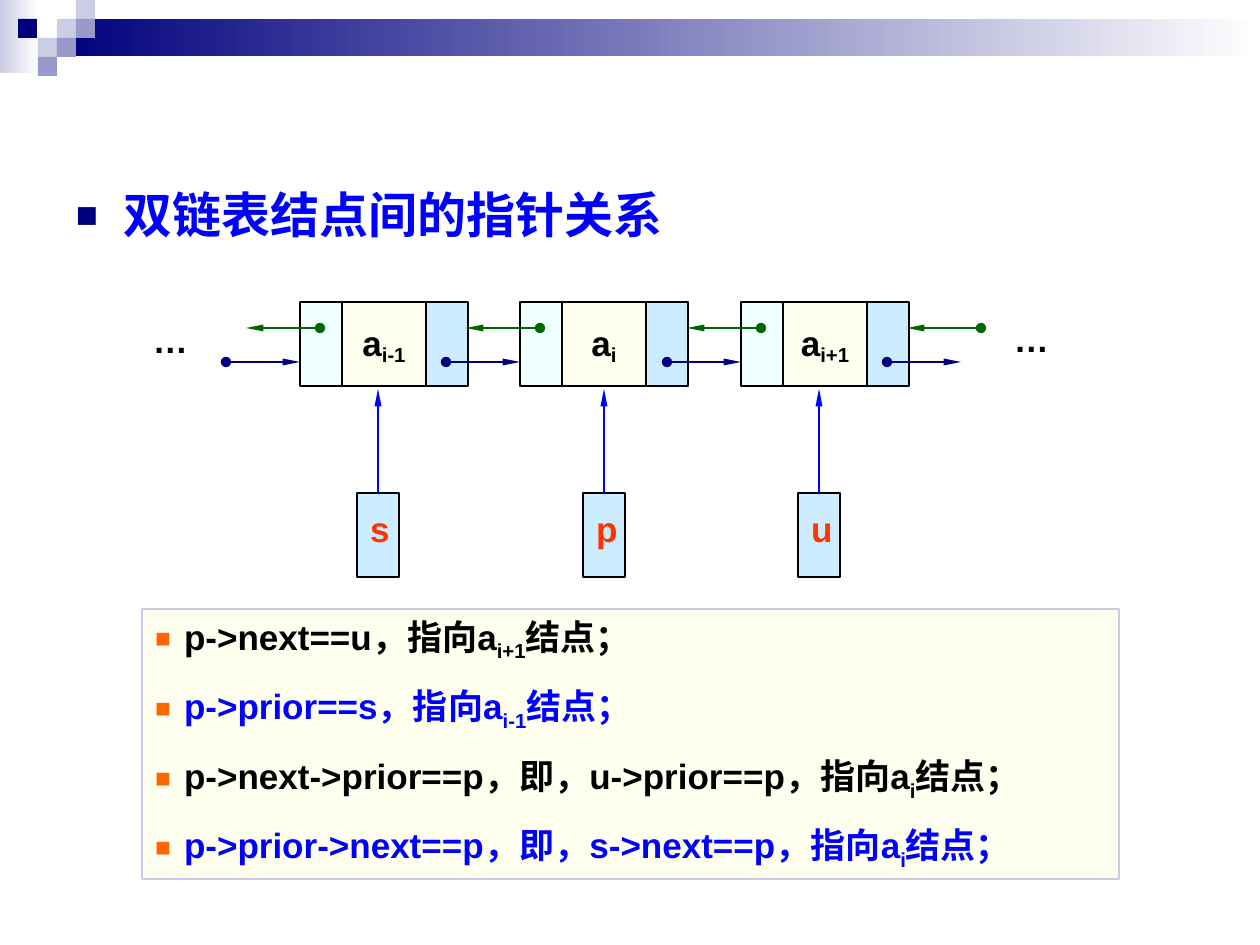
from lxml.etree import SubElement
from pptx import Presentation
from pptx.dml.color import RGBColor
from pptx.enum.shapes import MSO_CONNECTOR, MSO_SHAPE
from pptx.enum.text import MSO_ANCHOR, PP_ALIGN
from pptx.oxml.ns import qn
from pptx.util import Pt

SCALE = 914400 / 126
HEX = RGBColor.from_string
NAVY, PALE, LILAC, CREAM, SKY = "00007D", "CCCCE6", "9999CC", "FFFFF0", "CCECFF"
BLUE, BLACK, RED, GREEN = "0000FF", "000000", "FF3300", "006600"

deck = Presentation()
deck.slide_width, deck.slide_height = [round(n * SCALE) for n in (1260, 945)]
slide = deck.slides.add_slide(deck.slide_layouts[6])
shapes = slide.shapes


def add_box(place, fill=None, edge=None, lines=(), size=20, align=PP_ALIGN.CENTER,
            mark=None, hang=0, drop=-16, top=6, anchor=MSO_ANCHOR.MIDDLE, wrap=True):
    spot = [round(n * SCALE) for n in place]
    if fill or edge:
        box = shapes.add_shape(MSO_SHAPE.RECTANGLE, *spot)
        box.shadow.inherit = False
        if isinstance(fill, tuple):
            box.fill.gradient()
            box.fill.gradient_angle = 0
            for stop, tone in zip(box.fill.gradient_stops, fill):
                stop.color.rgb = HEX(tone)
        else:
            box.fill.solid()
            box.fill.fore_color.rgb = HEX(fill)
        if edge:
            box.line.color.rgb = HEX(edge)
            box.line.width = Pt(0.75)
        else:
            box.line.fill.background()
    else:
        box = shapes.add_textbox(*spot)
    frame = box.text_frame
    style = {"word_wrap": wrap, "vertical_anchor": anchor, "margin_top": round(top * SCALE),
             "margin_left": round(13 * SCALE), "margin_right": round(13 * SCALE),
             "margin_bottom": round(6 * SCALE)}
    for key, value in style.items():
        setattr(frame, key, value)
    for row, (tone, *parts) in enumerate(lines):
        para = frame.add_paragraph() if row else frame.paragraphs[0]
        para.alignment = align
        para.space_before = Pt(12.5 if row else 0)
        if mark:
            props = para._p.get_or_add_pPr()
            props.set("marL", str(round(hang * SCALE)))
            props.set("indent", str(round(-hang * SCALE)))
            SubElement(SubElement(props, qn("a:buClr")), qn("a:srgbClr"), val=mark)
            SubElement(props, qn("a:buSzPct"), val="75000")
            SubElement(props, qn("a:buFont"), typeface="Arial")
            SubElement(props, qn("a:buChar"), char="■")
        for part, text in enumerate(parts):
            run = para.add_run()
            run.text = text
            for key, value in {"size": Pt(size), "bold": True, "name": "Arial"}.items():
                setattr(run.font, key, value)
            run.font.color.rgb = HEX(tone)
            if part == 1:
                run._r.get_or_add_rPr().set("baseline", str(drop * 1000))
    return box


def add_line(ends, tone, head, tail):
    line = shapes.add_connector(MSO_CONNECTOR.STRAIGHT, *[round(n * SCALE) for n in ends])
    line.line.color.rgb = HEX(tone)
    line.line.width = Pt(1.5)
    pen = line.line._get_or_add_ln()
    for tag, kind in (("a:headEnd", head), ("a:tailEnd", tail)):
        if kind == "triangle":
            SubElement(pen, qn(tag), type=kind, w="sm", len="lg")
        elif kind:
            SubElement(pen, qn(tag), type=kind, w="med", len="med")
    SubElement(line._element.spPr, qn("a:effectLst"))
    return line


add_box((0, 0, 39, 73), (PALE, "FFFFFF"))
add_box((57, 19, 1203, 37), (NAVY, "FFFFFF"))
for x, y, tone in ((57, 19, PALE), (76, 0, PALE), (76, 19, LILAC), (38, 38, PALE),
                   (18, 19, NAVY), (57, 38, LILAC), (38, 57, LILAC)):
    add_box((x, y, 19, 19), tone)

add_box((63, 179, 1134, 671), lines=[(BLUE, "双链表结点间的指针关系")], size=28,
        align=PP_ALIGN.LEFT, mark=NAVY, hang=48, anchor=MSO_ANCHOR.TOP)

for x, y in ((126, 295), (987, 294)):
    add_box((x, y, 89, 89), lines=[(BLACK, "…")], wrap=False)

for col, sub in enumerate(("i-1", "i", "i+1")):
    x = 300 + 441 * col // 2
    add_box((x + 42, 302, 84, 84), CREAM, BLACK, [(BLACK, "a", sub)], wrap=False)
    add_box((x + 126, 302, 42, 84), SKY, BLACK)
    add_box((x, 302, 42, 84), "F0FFFF", BLACK)

for col in range(4):
    x = 226 + 441 * col // 2
    add_line((x, 362, x + 74, 362), NAVY, "oval", "triangle")
    add_line((x + 20, 328, x + 94, 328), GREEN, "triangle", "oval")

for x, name in ((357, "s"), (583, "p"), (798, "u")):
    box = add_box((x, 493, 42, 84), SKY, BLACK, [(RED, name)], top=15, anchor=MSO_ANCHOR.TOP)
    line = add_line((x + 21, 493, x + 21, 389), BLUE, None, "triangle")
    line.begin_connect(box, 0)

facts = [
    (BLACK, "p->next==u，指向a", "i+1", "结点；"),
    (BLUE, "p->prior==s，指向a", "i-1", "结点；"),
    (BLACK, "p->next->prior==p，即，u->prior==p，指向a", "i", "结点；"),
    (BLUE, "p->prior->next==p，即，s->next==p，指向a", "i", "结点；"),
]
add_box((142, 609, 977, 270), CREAM, PALE, facts, align=PP_ALIGN.LEFT,
        mark="FF6600", hang=29, drop=-25, anchor=MSO_ANCHOR.TOP)

deck.save("out.pptx")
